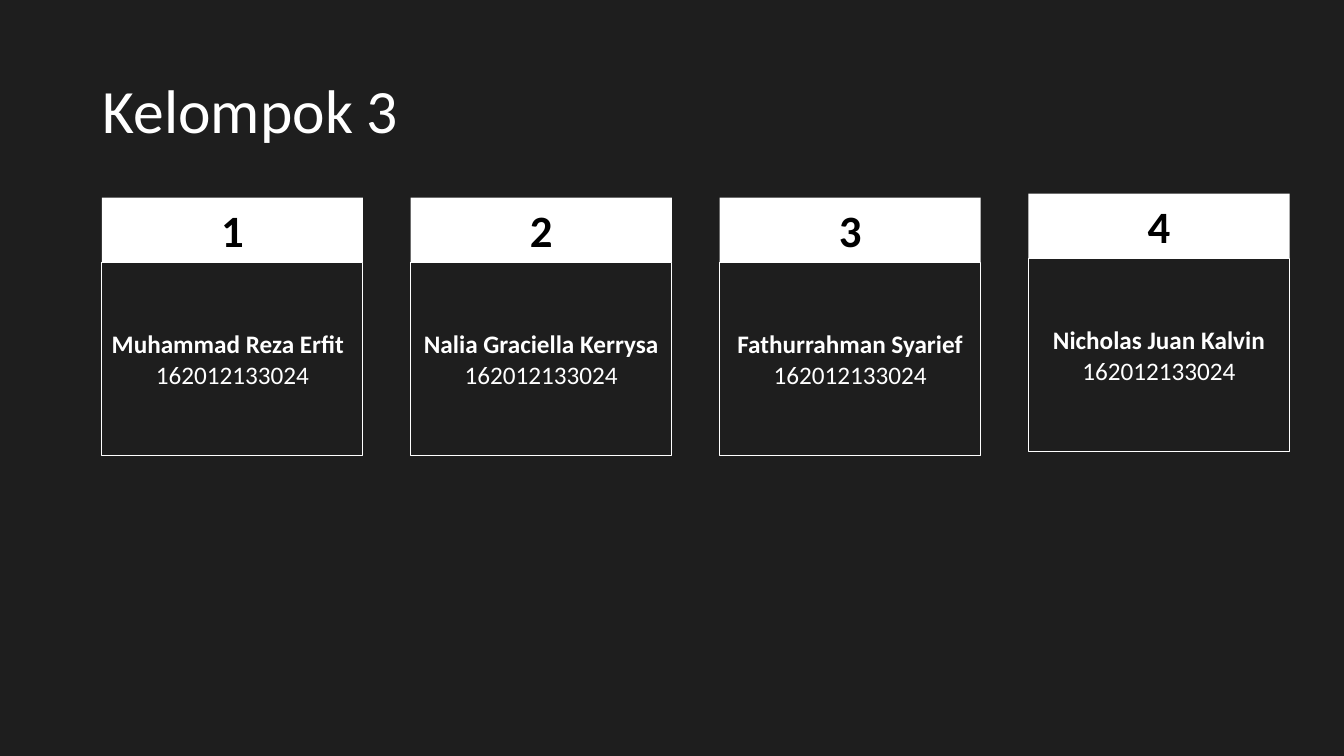
"""Build the slide that introduces the four members of the group."""
from pptx import Presentation
from pptx.dml.color import RGBColor
from pptx.enum.shapes import MSO_SHAPE as Shape
from pptx.enum.text import MSO_ANCHOR as Anchor, MSO_AUTO_SIZE as AutoSize, PP_ALIGN as Align
from pptx.util import Inches, Pt

TITLE = "Kelompok 3"
MEMBERS = [
    ("Muhammad Reza Erfit", "162012133024", Align.LEFT, 1.96),
    ("Nalia Graciella Kerrysa", "162012133024", Align.CENTER, 1.96),
    ("Fathurrahman Syarief", "162012133024", Align.CENTER, 1.96),
    ("Nicholas Juan Kalvin", "162012133024", Align.CENTER, 1.92),
]
FONT = "Calibri"
DARK, WHITE, BLACK = "1E1E1E", "FFFFFF", "000000"
FIRST_LEFT, LAST_LEFT = 1.01, 10.2
CARD_WIDTH, HEADER_HEIGHT, BODY_HEIGHT = 2.59, 0.64, 1.92
PITCH = (LAST_LEFT - FIRST_LEFT) / (len(MEMBERS) - 1)


def color(value):
    return RGBColor.from_string(value)


def write(paragraph, text, size, ink, bold=False, align=Align.CENTER):
    paragraph.alignment = align
    run = paragraph.add_run()
    run.text = text
    run.font.name = FONT
    run.font.size = Pt(size)
    run.font.bold = bold
    run.font.color.rgb = color(ink)


def add_box(slide, left, top, height):
    shape = slide.shapes.add_shape(
        Shape.RECTANGLE, Inches(left), Inches(top), Inches(CARD_WIDTH), Inches(height))
    shape.shadow.inherit = False
    shape.text_frame.word_wrap = True
    shape.text_frame.vertical_anchor = Anchor.MIDDLE
    return shape


def add_card(slide, index, name, number, name_align, top):
    left = FIRST_LEFT + index * PITCH
    header = add_box(slide, left, top, HEADER_HEIGHT)
    header.fill.solid()
    header.fill.fore_color.rgb = color(WHITE)
    header.line.fill.background()
    write(header.text_frame.paragraphs[0], str(index + 1), 32, BLACK, bold=True)

    body = add_box(slide, left, top + HEADER_HEIGHT, BODY_HEIGHT)
    body.fill.background()
    body.line.color.rgb = color(WHITE)
    body.line.width = Pt(0.75)
    write(body.text_frame.paragraphs[0], name, 18, WHITE, bold=True, align=name_align)
    write(body.text_frame.add_paragraph(), number, 18, WHITE)


def add_title(slide):
    title = slide.shapes.title
    title.left, title.top = Inches(0.92), Inches(0.4)
    title.width, title.height = Inches(11.5), Inches(1.45)
    frame = title.text_frame
    frame.auto_size = AutoSize.NONE
    frame.vertical_anchor = Anchor.MIDDLE
    frame.paragraphs[0].line_spacing = 0.9
    write(frame.paragraphs[0], TITLE, 44, WHITE, align=Align.LEFT)


def main():
    presentation = Presentation()
    presentation.slide_width, presentation.slide_height = Inches(13.33), Inches(7.5)
    slide = presentation.slides.add_slide(presentation.slide_layouts.get_by_name("Title Only"))
    slide.background.fill.solid()
    slide.background.fill.fore_color.rgb = color(DARK)
    add_title(slide)
    for index, member in enumerate(MEMBERS):
        add_card(slide, index, *member)
    presentation.save("out.pptx")


if __name__ == "__main__":
    main()
